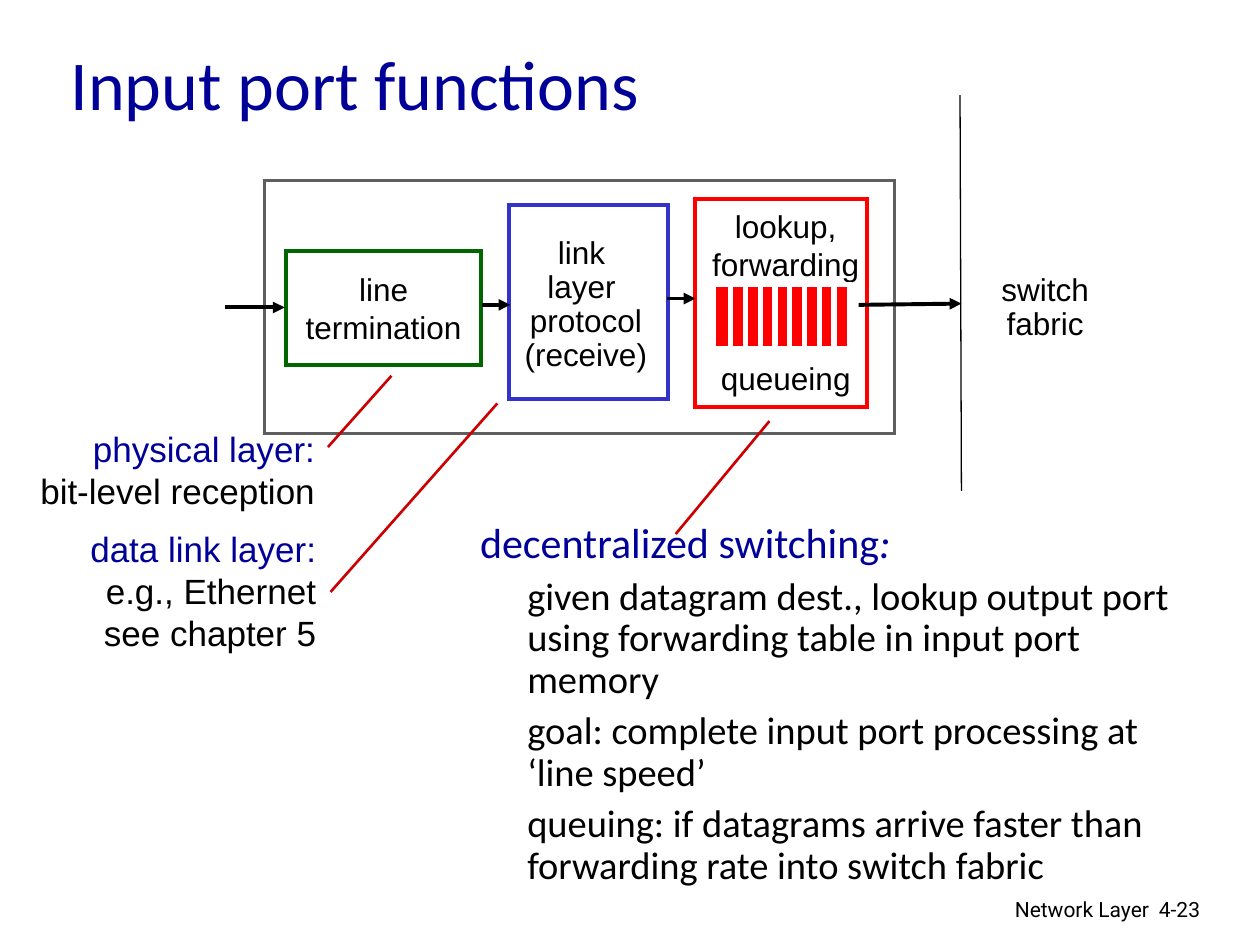
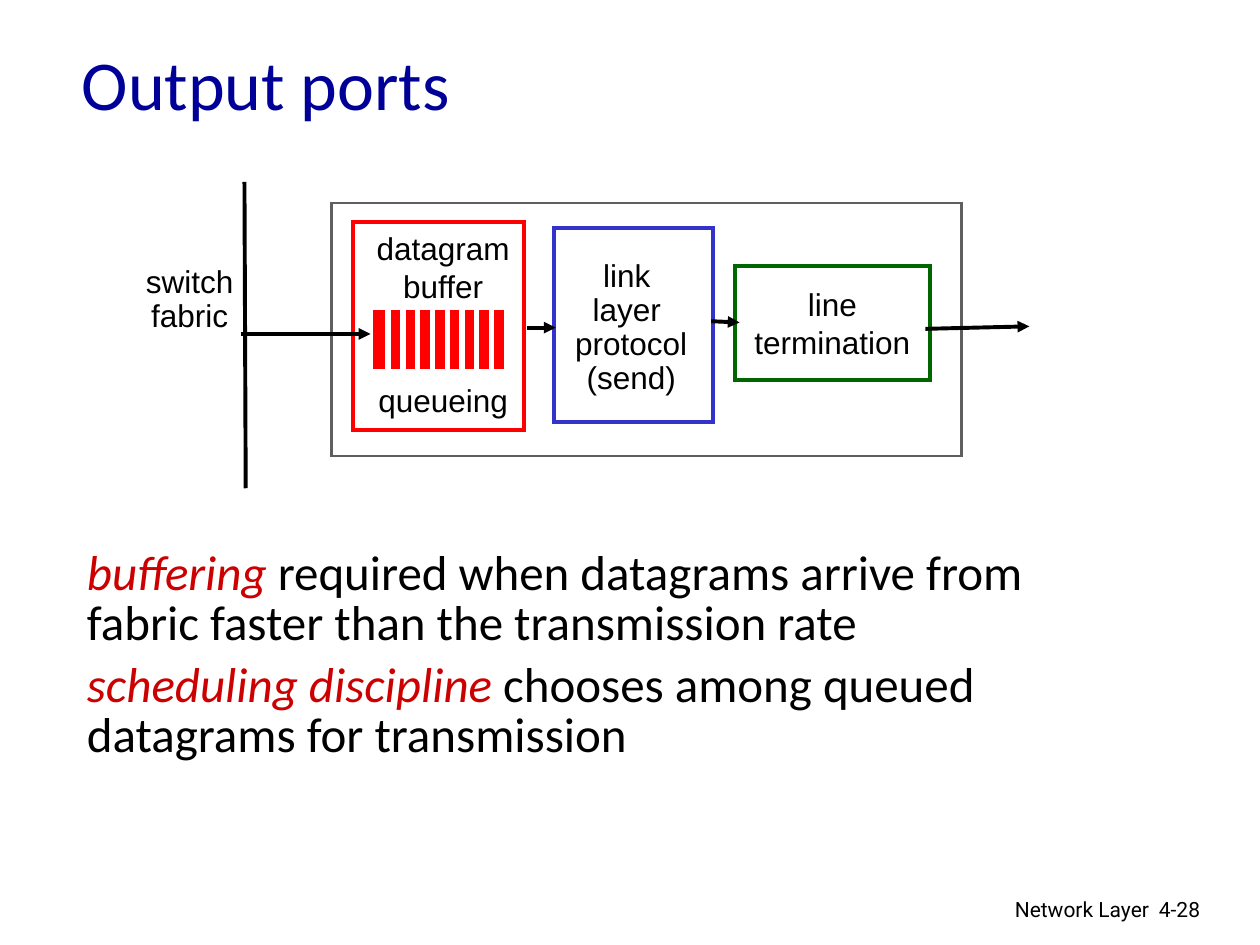
from lxml import etree
from pptx import Presentation
from pptx.dml.color import RGBColor
from pptx.enum.shapes import MSO_CONNECTOR, MSO_SHAPE
from pptx.enum.text import MSO_ANCHOR as ANCHOR, MSO_AUTO_SIZE as FIT, PP_ALIGN as ALIGN
from pptx.oxml.ns import qn
from pptx.util import Pt

# Colours
WHITE = RGBColor(0xFF, 0xFF, 0xFF)
BLACK = RGBColor(0x00, 0x00, 0x00)
NAVY = RGBColor(0x00, 0x00, 0x99)
CRIMSON = RGBColor(0xCC, 0x00, 0x00)
RED = RGBColor(0xFF, 0x00, 0x00)
BLUE = RGBColor(0x33, 0x33, 0xCC)
GREEN = RGBColor(0x00, 0x66, 0x00)
GREY = RGBColor(0x5F, 0x5F, 0x5F)

# Font and paragraph formats
TITLE = {"name": "Calibri", "size": Pt(40)}
FOOTER = {"name": "Roboto", "size": Pt(12)}
DIAGRAM = {"name": "Arial", "size": Pt(18)}
LAYER = {"name": "Arial", "size": Pt(20)}
LEFT = {"alignment": ALIGN.LEFT}
RIGHT = {"alignment": ALIGN.RIGHT}
CENTRED = {"alignment": ALIGN.CENTER}
TIGHT = {"alignment": ALIGN.CENTER, "line_spacing": 0.9}

# Queue symbol
QUEUE_SLOTS = 9
SLOT_PITCH = 8.43


def apply(target, formats):
    for attribute, value in formats.items():
        setattr(target, attribute, value)


def add_run(paragraph, text, font, colour=BLACK, italic=False):
    run = paragraph.add_run()
    run.text = text
    apply(run.font, {**font, "italic": italic})
    run.font.color.rgb = colour


def write_lines(frame, lines, font, layout, colours=()):
    """Write one paragraph per line; lines without a colour are black."""
    for index, line in enumerate(lines):
        paragraph = frame.paragraphs[0] if index == 0 else frame.add_paragraph()
        apply(paragraph, layout)
        add_run(paragraph, line, font, colours[index] if index < len(colours) else BLACK)


def place(shape, left, top, width, height):
    apply(shape, {"left": Pt(left), "top": Pt(top), "width": Pt(width), "height": Pt(height)})


def add_label(slide, area, lines, font, layout, colours=()):
    label = slide.shapes.add_textbox(*map(Pt, area))
    frame = label.text_frame
    apply(frame, {"word_wrap": True, "auto_size": FIT.NONE})
    write_lines(frame, lines, font, layout, colours)
    return frame


def add_box(slide, area, outline=None, weight=2.25, fill=WHITE, lines=(), layout=CENTRED):
    box = slide.shapes.add_shape(MSO_SHAPE.RECTANGLE, *map(Pt, area))
    box.shadow.inherit = False
    box.fill.solid()
    box.fill.fore_color.rgb = fill
    if outline is None:
        box.line.fill.background()
    else:
        box.line.color.rgb = outline
        box.line.width = Pt(weight)
        etree.SubElement(box._element.spPr.find(qn("a:ln")), qn("a:miter"), lim="800000")
    if lines:
        apply(box.text_frame, {"word_wrap": False, "vertical_anchor": ANCHOR.MIDDLE})
        write_lines(box.text_frame, lines, DIAGRAM, layout)


def add_line(slide, start, end, colour=BLACK, weight=2.25, arrow=False):
    line = slide.shapes.add_connector(MSO_CONNECTOR.STRAIGHT, *map(Pt, start + end))
    line.line.color.rgb = colour
    line.line.width = Pt(weight)
    properties = line._element.spPr
    stroke = properties.find(qn("a:ln"))
    stroke.set("cap", "sq")
    if arrow:
        etree.SubElement(stroke, qn("a:tailEnd"), type="triangle")
    etree.SubElement(properties, qn("a:effectLst"))


def add_arrows(slide, ends):
    for start, end in ends:
        add_line(slide, start, end, arrow=True)


# Parts of a router port
def add_port_frame(slide, left, top):
    add_box(slide, (left, top, 360, 144.7), GREY, 1.5)


def add_termination(slide, left, top):
    add_box(slide, (left, top, 111.6, 65.5), GREEN, lines=["line", "termination"])


def add_link_layer(slide, left, top, direction):
    add_box(slide, (left, top, 90.7, 110.9), BLUE)
    add_box(slide, (left + 2.5, top + 24.5, 82.8, 65.5),
            lines=["link ", "layer ", "protocol", direction], layout=TIGHT)


def add_switch_fabric(slide, left, top):
    add_box(slide, (left, top, 82.8, 65.5), lines=["switch", "fabric"], layout=TIGHT)


def add_queue(slide, left, top, purpose):
    add_box(slide, (left, top, 97.9, 118.8), RED)
    frame = add_label(slide, (left - 8.4, top + 0.9, 120, 115.2),
                      purpose + ["queueing"], DIAGRAM, CENTRED)
    frame.paragraphs[-1].space_before = Pt(43.5)
    slots_left, slots_top = left + 10.1, top + 48.7
    add_box(slide, (slots_left, slots_top, 77.8, 36.7), WHITE, 3, RED)
    for slot in range(1, QUEUE_SLOTS):
        x = slots_left + 10.1 + (slot - 1) * SLOT_PITCH
        add_line(slide, (x, slots_top + 0.5), (x, slots_top + 35.1), WHITE, 3)


# Shared slide furniture
def add_port_slide(prs, title, title_area, number):
    slide = prs.slides.add_slide(prs.slide_layouts[1])
    heading = slide.shapes.title
    place(heading, *title_area)
    apply(heading.text_frame, {"vertical_anchor": ANCHOR.MIDDLE, "auto_size": FIT.NONE})
    write_lines(heading.text_frame, [title], TITLE, LEFT, [NAVY])
    add_label(slide, (435.6, 509, 228.2, 22.3), ["Network Layer"], FOOTER, RIGHT)
    add_label(slide, (655.2, 509, 53.3, 21.6), [number], FOOTER, LEFT)
    return slide


def fill_body(slide, area, items, line_spacing):
    """Each item is (indent, size, space before, runs)."""
    body = slide.placeholders[1]
    place(body, *area)
    frame = body.text_frame
    frame.auto_size = FIT.NONE
    for index, (indent, size, gap, runs) in enumerate(items):
        paragraph = frame.paragraphs[0] if index == 0 else frame.add_paragraph()
        apply(paragraph, {**LEFT, "line_spacing": line_spacing, "space_before": Pt(gap)})
        properties = paragraph._p.get_or_add_pPr()
        properties.set("marL", str(Pt(indent)))
        properties.set("indent", "0")
        etree.SubElement(properties, qn("a:buNone"))
        for run in runs:
            add_run(paragraph, run[0], {"name": "Calibri", "size": Pt(size)}, *run[1:])


def build_input_port(prs):
    slide = add_port_slide(prs, "Input port functions", (33.1, 23, 612, 48.2), "4-23")
    details = [
        "given datagram dest., lookup output port using forwarding table in input port memory",
        "goal: complete input port processing at ‘line speed’",
        "queuing: if datagrams arrive faster than forwarding rate into switch fabric",
    ]
    fill_body(slide, (267.1, 294.8, 429.8, 210.2),
              [(0, 24, 6, [("decentralized switching", NAVY), (":", NAVY, True)])]
              + [(27, 22, 5.5, [(detail,)]) for detail in details], 0.9)

    # Port diagram
    add_port_frame(slide, 151.2, 103)
    add_termination(slide, 163.4, 143.3)
    add_link_layer(slide, 290.9, 117.4, "(receive)")
    add_queue(slide, 397.4, 113.8, ["lookup,", "forwarding"])
    add_switch_fabric(slide, 555.8, 143.3)
    add_line(slide, (548.6, 54.7), (549.4, 280.1), weight=0.75)
    add_arrows(slide, [
        ((129.6, 175.7), (162.7, 175.7)),
        ((276.5, 174.2), (291.6, 174.2)),
        ((382.3, 170.6), (397.4, 170.6)),
        ((491.8, 174.2), (549.4, 173.5)),
    ])

    # Layer notes and their pointers
    add_label(slide, (7.2, 240.5, 180, 55.4),
              ["physical layer:", "bit-level reception"], LAYER, RIGHT, [NAVY])
    add_label(slide, (7.9, 298.1, 180, 79.2),
              ["data link layer:", "e.g., Ethernet", "see chapter 5"], LAYER, RIGHT, [NAVY])
    for note, part in [
        ((187.9, 254.9), (223.2, 215.3)),
        ((189.4, 337.7), (283.7, 231.1)),
        ((386.6, 304.6), (439.2, 241.2)),
    ]:
        add_line(slide, note, part, CRIMSON, 1.5)


def build_output_ports(prs):
    slide = add_port_slide(prs, "Output ports", (39.6, 20.2, 612, 54), "4-28")
    statements = [
        ("buffering",
         " required when datagrams arrive from fabric faster than the transmission rate"),
        ("scheduling discipline", " chooses among queued datagrams for transmission"),
    ]
    fill_body(slide, (42.5, 310.7, 612, 72),
              [(0, 28, 7, [(term, CRIMSON, True), (rest,)]) for term, rest in statements], 0.85)

    # Port diagram
    add_port_frame(slide, 189.4, 115.9)
    add_termination(slide, 419.8, 151.9)
    add_link_layer(slide, 316.8, 130.3, "(send)")
    add_queue(slide, 201.6, 126.7, ["datagram", "buffer"])
    add_switch_fabric(slide, 67, 139)
    add_line(slide, (139.7, 105.1), (140.4, 277.9))
    add_arrows(slide, [
        ((139, 190.8), (211.7, 190.8)),
        ((302.4, 187.2), (317.5, 187.2)),
        ((407.5, 183.6), (422.6, 184.3)),
        ((529.9, 187.9), (588.2, 186.5)),
    ])


def main():
    prs = Presentation()
    apply(prs, {"slide_width": Pt(720), "slide_height": Pt(540)})
    build_input_port(prs)
    build_output_ports(prs)
    prs.save("out.pptx")


if __name__ == "__main__":
    main()
